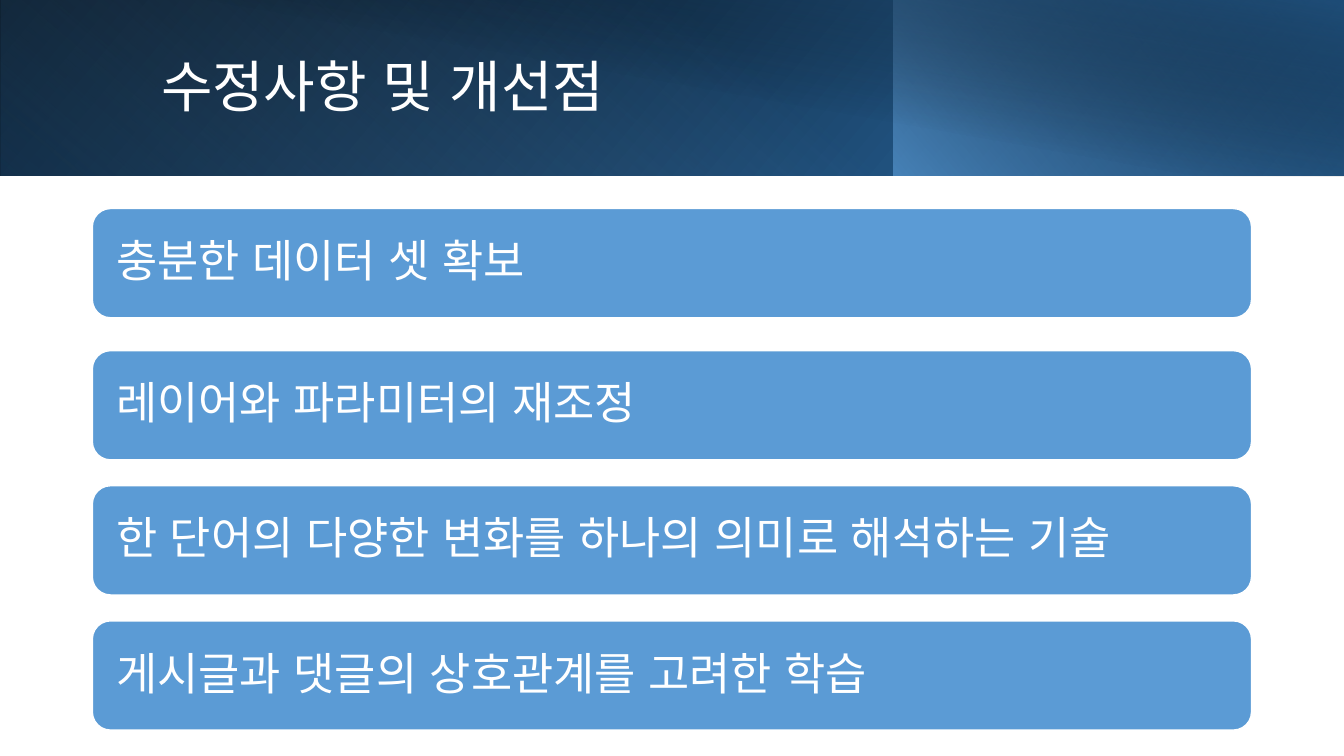
from lxml import etree
from pptx import Presentation
from pptx.dml.color import RGBColor
from pptx.enum.shapes import MSO_SHAPE
from pptx.enum.text import MSO_ANCHOR, PP_ALIGN
from pptx.oxml.ns import qn
from pptx.util import Pt

RECT, ROUNDED = MSO_SHAPE.RECTANGLE, MSO_SHAPE.ROUNDED_RECTANGLE
MIDDLE, LEFT = MSO_ANCHOR.MIDDLE, PP_ALIGN.LEFT
BLUE, NAVY, BLACK, WHITE = "5B9BD5", "1F4E79", "000000", "FFFFFF"


def rgb(value):
    return RGBColor.from_string(value)


class Deck:
    font = "Noto Sans CJK KR"

    def __init__(self, prs):
        self.slide = prs.slides.add_slide(prs.slide_layouts[6])

    def shape(self, kind, box):
        s = self.slide.shapes.add_shape(kind, *map(Pt, box))
        s.shadow.inherit = False
        return s

    def gradient(self, box, angle, stops, flip=True, rotation=0):
        """Draw a borderless rectangle; stops are (position %, colour, opacity %)."""
        s = self.shape(RECT, box)
        s.line.fill.background()
        s.rotation = rotation
        props = s._element.spPr
        if flip:
            props.find(qn("a:xfrm")).set("flipH", "1")
        fill = etree.Element(qn("a:gradFill"), rotWithShape="1")
        stop_list = etree.SubElement(fill, qn("a:gsLst"))
        for position, color, opacity in stops:
            stop = etree.SubElement(stop_list, qn("a:gs"), pos=str(position * 1000))
            clr = etree.SubElement(stop, qn("a:srgbClr"), val=color)
            if opacity < 100:
                etree.SubElement(clr, qn("a:alpha"), val=str(opacity * 1000))
        etree.SubElement(fill, qn("a:lin"), ang=str(angle * 60000), scaled="0")
        props.find(qn("a:prstGeom")).addnext(fill)

    def set_text(self, s, text, size, side, edge, after=0):
        """Set left-aligned text with side and top/bottom margins."""
        tf = s.text_frame
        tf.word_wrap = True
        tf.vertical_anchor = MIDDLE
        tf.margin_left = tf.margin_right = Pt(side)
        tf.margin_top = tf.margin_bottom = Pt(edge)
        p = tf.paragraphs[0]
        p.text = text
        p.alignment = LEFT
        p.line_spacing = 0.9
        p.space_after = Pt(after)
        p.font.size = Pt(size)
        p.font.name = self.font
        p.font.color.rgb = rgb(WHITE)
        for r in p.runs:
            props = r._r.get_or_add_rPr()
            props.set("lang", "ko-KR")
            etree.SubElement(props, qn("a:ea"), typeface=self.font)

    def title(self, text, box):
        s = self.slide.shapes.add_textbox(*map(Pt, box))
        self.set_text(s, text, 40, 7.2, 3.6)

    def card(self, text, box):
        s = self.shape(ROUNDED, box)
        s.fill.solid()
        s.fill.fore_color.rgb = rgb(BLUE)
        s.line.color.rgb = rgb(WHITE)
        s.line.width = Pt(1)
        self.set_text(s, text, 32, 13.2, 13.2, after=11.2)


def main():
    prs = Presentation()
    prs.slide_width, prs.slide_height = Pt(960), Pt(540)
    deck = Deck(prs)

    deck.gradient((0, 0, 960, 125.5), 140, [(0, BLACK, 100), (100, "2E75B6", 100)])
    deck.gradient((0, 0, 639, 125.5), 230, [(20, BLUE, 0), (100, NAVY, 55)], rotation=180)
    deck.gradient((638.5, 0, 321.5, 125.5), 220, [(0, BLUE, 66), (100, BLACK, 30)])
    deck.gradient((36, 0, 924, 126), 280, [(50, BLACK, 0), (99, NAVY, 52)], flip=False)
    deck.title("수정사항 및 개선점", (108, 23, 779, 81.5))

    improvements = [
        (149, "충분한 데이터 셋 확보"),
        (250.5, "레이어와 파라미터의 재조정"),
        (347, "한 단어의 다양한 변화를 하나의 의미로 해석하는 기술"),
        (443.5, "게시글과 댓글의 상호관계를 고려한 학습"),
    ]
    for top, text in improvements:
        deck.card(text, (66, top, 828, 78))

    prs.save("out.pptx")


if __name__ == "__main__":
    main()
